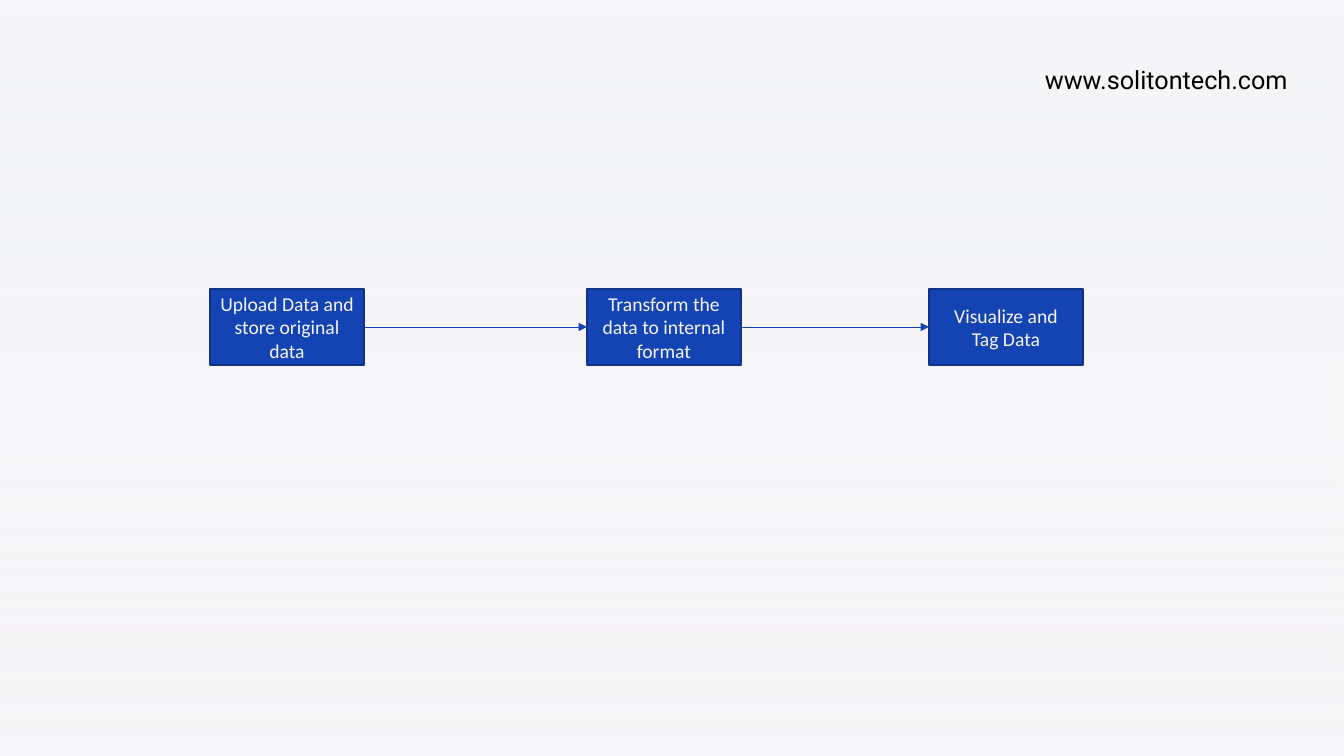
"""Build a slide with a three-step data flow and a web address."""
import lxml.etree
import pptx
import pptx.dml.color
import pptx.enum.shapes
import pptx.enum.text
import pptx.oxml.ns
import pptx.util

SLIDE_SIZE = (1344, 756)
WEB_ADDRESS = "www.solitontech.com"
WEB_FRAME = (1035, 59, 271, 40)
STEPS = [
    (210, "Upload Data and store original data"),
    (587, "Transform the data to internal format"),
    (929, "Visualize and Tag Data"),
]
STEP_TOP, STEP_WIDTH, STEP_HEIGHT = 289, 154, 76
PALE, BLUE, NAVY, BLACK = "F6F5F7", "1444B3", "0F3284", "000000"
BACKDROP_FRAME = (0, 2, 1344, 756)
BACKDROP_STOPS = [(0, "F1F5FD", 0), (52, PALE, 100), (100, PALE, 0)]
LEFT_SITE, RIGHT_SITE = 1, 3


def px(length):
    return pptx.util.Emu(round(length * 914400 / 100.8))


def color(value):
    return pptx.dml.color.RGBColor.from_string(value)


def add_element(parent, tag, **attributes):
    return lxml.etree.SubElement(parent, pptx.oxml.ns.qn(tag), attributes)


def add_rectangle(page, frame):
    kind = pptx.enum.shapes.MSO_SHAPE.RECTANGLE
    box = page.shapes.add_shape(kind, *map(px, frame))
    box.shadow.inherit = False
    return box


def write_text(box, text, size, font_name, value):
    box.text_frame.word_wrap = True
    para = box.text_frame.paragraphs[0]
    para.text = text
    para.font.size = pptx.util.Pt(size)
    para.font.name = font_name
    para.font.color.rgb = color(value)
    return para


def add_backdrop(page):
    box = add_rectangle(page, BACKDROP_FRAME)
    box.line.fill.background()
    box.fill.gradient()
    box.fill.gradient_angle = 270
    stop_list = next(box._element.iter(pptx.oxml.ns.qn("a:gsLst")))
    stop_list.clear()
    for position, value, opacity in BACKDROP_STOPS:
        stop = add_element(stop_list, "a:gs", pos=str(position * 1000))
        tint = add_element(stop, "a:srgbClr", val=value)
        add_element(tint, "a:alpha", val=str(opacity * 1000))


def add_step(page, left, text):
    box = add_rectangle(page, (left, STEP_TOP, STEP_WIDTH, STEP_HEIGHT))
    box.fill.solid()
    box.fill.fore_color.rgb = color(BLUE)
    box.line.color.rgb = color(NAVY)
    box.line.width = pptx.util.Pt(1)
    box.text_frame.vertical_anchor = pptx.enum.text.MSO_ANCHOR.MIDDLE
    para = write_text(box, text, 14, "Calibri", PALE)
    para.alignment = pptx.enum.text.PP_ALIGN.CENTER
    return box


def add_arrow(page, source, target):
    kind = pptx.enum.shapes.MSO_CONNECTOR.STRAIGHT
    arrow = page.shapes.add_connector(kind, 0, 0, 0, 0)
    arrow.begin_connect(source, RIGHT_SITE)
    arrow.end_connect(target, LEFT_SITE)
    arrow.line.color.rgb = color(BLUE)
    arrow.line.width = pptx.util.Pt(0.5)
    add_element(arrow.line._get_or_add_ln(), "a:tailEnd", type="triangle")
    add_element(arrow._element.spPr, "a:effectLst")


def main():
    deck = pptx.Presentation()
    deck.slide_width, deck.slide_height = map(px, SLIDE_SIZE)
    page = deck.slides.add_slide(deck.slide_layouts[6])
    page.background.fill.solid()
    page.background.fill.fore_color.rgb = color(PALE)
    add_backdrop(page)
    address = page.shapes.add_textbox(*map(px, WEB_FRAME))
    write_text(address, WEB_ADDRESS, 18, "Roboto", BLACK)
    boxes = [add_step(page, left, text) for left, text in STEPS]
    for source, target in zip(boxes, boxes[1:]):
        add_arrow(page, source, target)
    deck.save("out.pptx")


if __name__ == "__main__":
    main()
